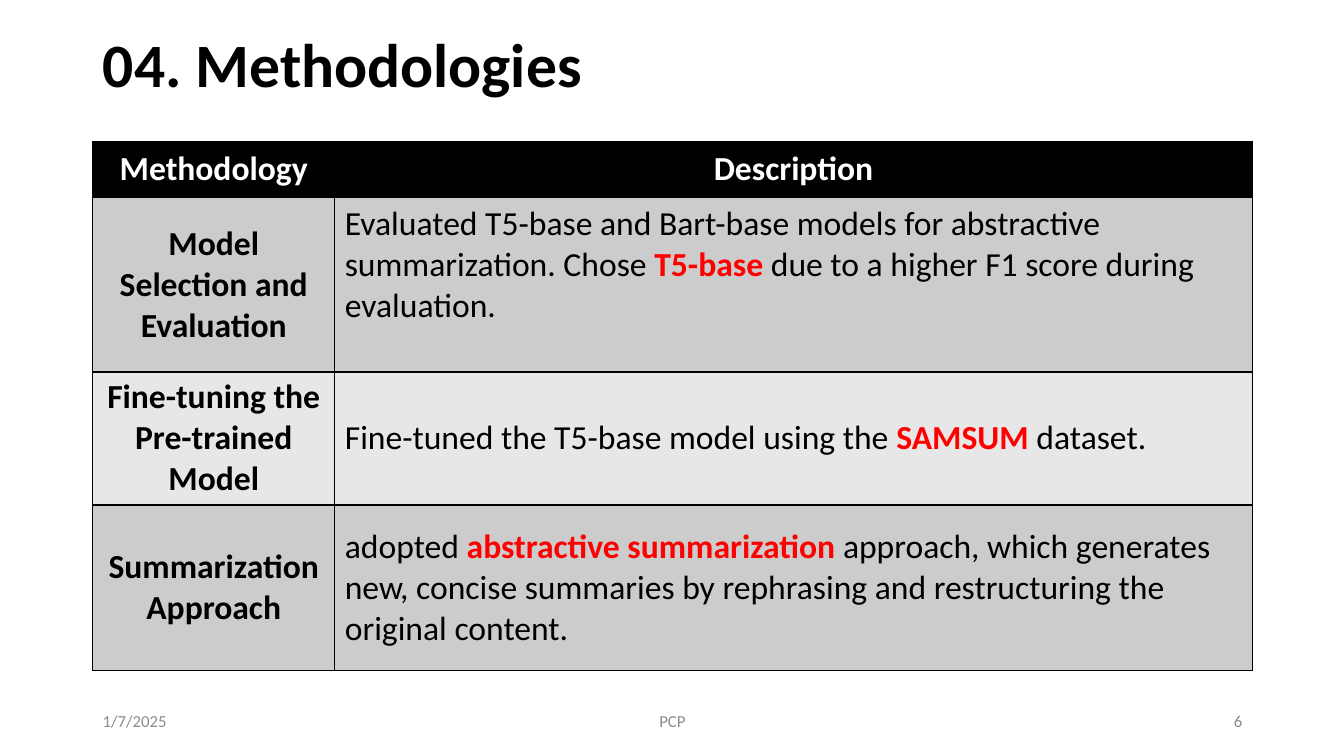
from dataclasses import dataclass

from lxml import etree
from pptx import Presentation
from pptx.dml.color import RGBColor
from pptx.enum import text
from pptx.oxml import ns
from pptx.util import Inches, Pt

ALIGN = text.PP_ALIGN
MIDDLE = text.MSO_ANCHOR.MIDDLE


@dataclass(frozen=True)
class Theme:
    face: str = "Calibri"
    black: str = "000000"
    white: str = "FFFFFF"
    accent: str = "FF0000"
    muted: str = "8C8C8C"
    bands: tuple = ("CCCCCC", "E7E7E7")
    title: int = 44
    table: int = 24
    footer: int = 12


THEME = Theme()
LEFT, WIDTH = 0.92, 11.5
COLS = (2.4, 9.1)
ROWS = (0.56, 1.73, 1.32, 1.64)

# Each description: lead, highlighted words, rest
METHODS = [
    ("Model Selection and Evaluation",
     ("Evaluated T5-base and Bart-base models for abstractive summarization. Chose ",
      "T5-base", " due to a higher F1 score during evaluation.")),
    ("Fine-tuning the Pre-trained Model",
     ("Fine-tuned the T5-base model using the ", "SAMSUM", " dataset.")),
    ("Summarization Approach",
     ("adopted ", "abstractive summarization ",
      "approach, which generates new, concise summaries by rephrasing and "
      "restructuring the original content.")),
]
FOOTER = [
    ("1/7/2025", LEFT, 3, ALIGN.LEFT),
    ("PCP", 4.42, 4.5, ALIGN.CENTER),
    ("6", 9.42, 3, ALIGN.RIGHT),
]


def style(par, size, color, bold=False, align=ALIGN.LEFT):
    par.alignment = align
    font = par.font
    font.name, font.size, font.bold = THEME.face, Pt(size), bold
    font.color.rgb = RGBColor.from_string(color)


def add_title(slide, words):
    title = slide.shapes.title
    title.left, title.top = Inches(LEFT), Inches(0.1)
    title.width, title.height = Inches(10), Inches(1.14)
    frame = title.text_frame
    frame.text = words
    frame.vertical_anchor = MIDDLE
    par = frame.paragraphs[0]
    par.line_spacing = 0.9
    style(par, THEME.title, THEME.black, bold=True)


def add_note(slide, words, left, width, align):
    """Add one footer text."""
    box = slide.shapes.add_textbox(Inches(left), Inches(6.95), Inches(width), Inches(0.4))
    frame = box.text_frame
    frame.word_wrap = True
    frame.vertical_anchor = MIDDLE
    frame.text = words
    style(frame.paragraphs[0], THEME.footer, THEME.muted, align=align)


def add_border(cell):
    props = cell._tc.get_or_add_tcPr()
    for side in ("lnL", "lnR", "lnT", "lnB"):
        line = etree.SubElement(props, ns.qn(f"a:{side}"), w=str(Pt(1)))
        fill = etree.SubElement(line, ns.qn("a:solidFill"))
        etree.SubElement(fill, ns.qn("a:srgbClr"), val=THEME.black)


def dress(cell, fill):
    """Set the border, fill and anchor of a cell."""
    add_border(cell)
    cell.fill.solid()
    cell.fill.fore_color.rgb = RGBColor.from_string(fill)
    cell.vertical_anchor = MIDDLE


def fill_label(cell, words, fill, color):
    dress(cell, fill)
    cell.text = words
    style(cell.text_frame.paragraphs[0], THEME.table, color, True, ALIGN.CENTER)


def fill_detail(cell, parts, fill):
    """Write a description with its middle part highlighted."""
    dress(cell, fill)
    par = cell.text_frame.paragraphs[0]
    style(par, THEME.table, THEME.black)
    runs = [par.add_run() for _ in parts]
    for run, words in zip(runs, parts):
        run.text = words
    runs[1].font.bold = True
    runs[1].font.color.rgb = RGBColor.from_string(THEME.accent)


def add_grid(slide):
    frame = slide.shapes.add_table(len(ROWS), len(COLS), Inches(LEFT), Inches(1.4),
                                   Inches(WIDTH), Inches(sum(ROWS)))
    table = frame.table
    for col, width in zip(table.columns, COLS):
        col.width = Inches(width)
    for row, height in zip(table.rows, ROWS):
        row.height = Inches(height)
    for col, head in enumerate(("Methodology", "Description")):
        fill_label(table.cell(0, col), head, THEME.black, THEME.white)
    for index, (label, parts) in enumerate(METHODS):
        fill = THEME.bands[index % 2]
        fill_label(table.cell(index + 1, 0), label, fill, THEME.black)
        fill_detail(table.cell(index + 1, 1), parts, fill)
    # The first description sits above the middle of its row
    table.cell(1, 1).margin_bottom = Inches(0.45)


def main():
    deck = Presentation()
    deck.slide_width, deck.slide_height = Inches(13.33), Inches(7.5)
    slide = deck.slides.add_slide(deck.slide_layouts[5])
    for note in FOOTER:
        add_note(slide, *note)
    add_grid(slide)
    add_title(slide, "04. Methodologies")
    deck.save("out.pptx")


if __name__ == "__main__":
    main()
